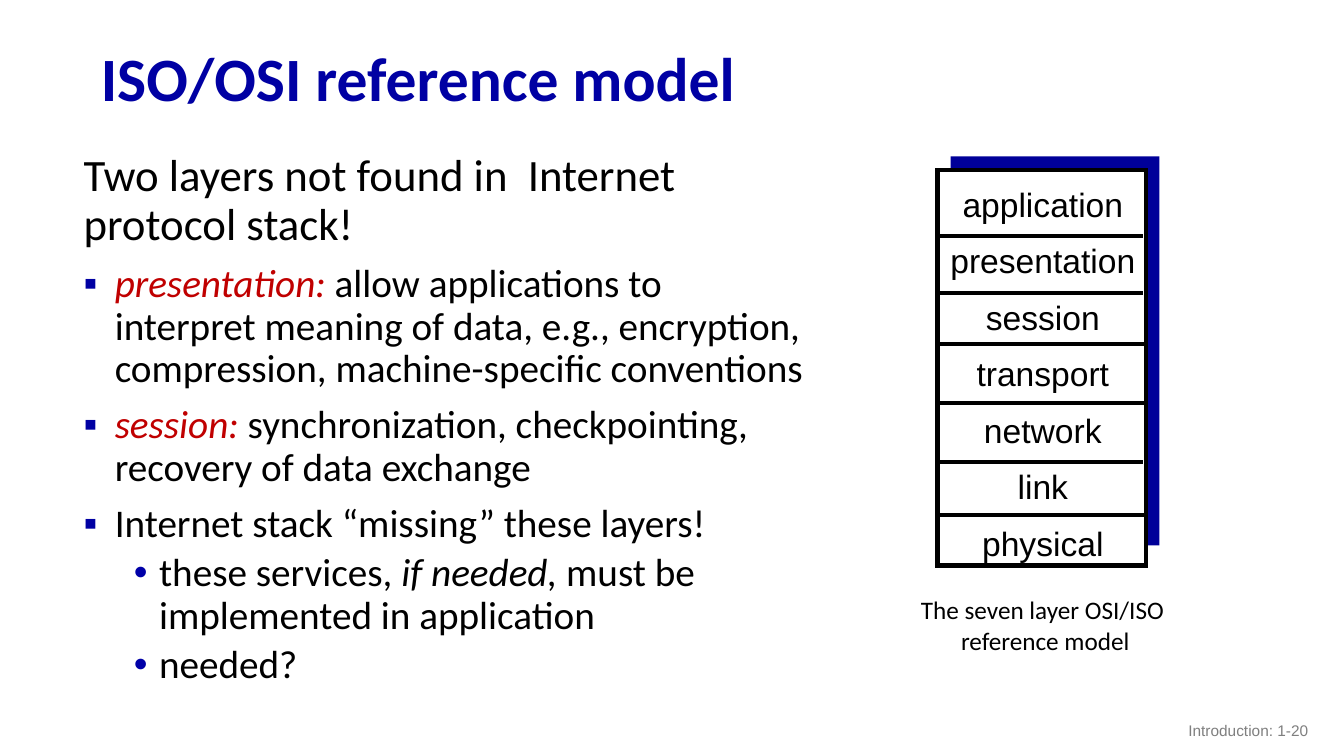
from dataclasses import dataclass

from lxml.etree import SubElement
from pptx import Presentation
from pptx.dml.color import RGBColor
from pptx.enum.shapes import MSO_CONNECTOR as Connector, MSO_SHAPE as Preset
from pptx.enum.text import MSO_ANCHOR as Anchor, MSO_AUTO_SIZE as AutoSize, PP_ALIGN as Align
from pptx.oxml.ns import qn
from pptx.util import Inches, Pt

SLIDE_WIDTH, SLIDE_HEIGHT = Inches(13.333), Inches(7.5)


# Colours, fonts and type sizes
@dataclass(frozen=True)
class Theme:
    heading_font: str = "Calibri"
    diagram_font: str = "Arial"
    title_blue: str = "0000A3"
    sub_bullet_blue: str = "0000A8"
    shadow_blue: str = "000099"
    red: str = "C00000"
    grey: str = "7F7F7F"
    black: str = "000000"
    white: str = "FFFFFF"
    title_size: int = 44
    lead_size: int = 32
    body_size: int = 28
    layer_size: int = 24
    caption_size: int = 18
    footer_size: int = 11
    line_width: int = 3


THEME = Theme()


# Descriptions of the slide's elements
@dataclass(frozen=True)
class Box:
    """Place and size in percent of the slide's width and height."""
    left: float
    top: float
    width: float
    height: float

    def lengths(self) -> tuple:
        return (across(self.left), down(self.top), across(self.width), down(self.height))


@dataclass(frozen=True)
class Bullet:
    runs: tuple  # (text, color, italic)
    level: int = 0


@dataclass(frozen=True)
class BulletStyle:
    mark: str
    color: str
    margin: float
    hanging: float
    space_before: int


@dataclass(frozen=True)
class Divider:
    left: float
    top: float


# Layout and content
TITLE = Box(6.75, 4.27, 86.25, 13.07)
BODY = Box(5.48, 19.6, 55.5, 74.8)
STACK_SHADOW = Box(70.73, 20.67, 15.53, 51.47)
STACK = Box(69.75, 22.53, 15.53, 52.27)
LABELS = Box(69.45, 25.07, 16.28, 49.73)
CAPTION = Box(67.65, 78, 20.25, 9.47)
FOOTER = Box(75.6, 94, 22.5, 5.33)

BULLET_STYLES = (
    BulletStyle("▪", THEME.title_blue, 0.31, 0.31, 10),
    BulletStyle("•", THEME.sub_bullet_blue, 0.75, 0.25, 5),
)
BULLETS = (
    Bullet((("presentation: ", THEME.red, True),
            ("allow applications to interpret meaning of data, e.g., encryption, "
             "compression, machine-specific conventions", THEME.black, False))),
    Bullet((("session: ", THEME.red, True),
            ("synchronization, checkpointing, recovery of data exchange", THEME.black, False))),
    Bullet((("Internet stack “missing” these layers!", THEME.black, False),)),
    Bullet((("these services, ", THEME.black, False),
            ("if needed,", THEME.black, True),
            (" must be implemented in application", THEME.black, False)), level=1),
    Bullet((("needed?", THEME.black, False),), level=1),
)
LAYERS = ("application", "presentation", "session", "transport", "network", "link", "physical")
LAYER_GAP = 20.2
DIVIDER_WIDTH = 15.45
DIVIDERS = (
    Divider(69.6, 31.2), Divider(69.6, 38.8), Divider(69.75, 45.47),
    Divider(69.75, 53.33), Divider(69.6, 61.07), Divider(69.75, 68.13),
)


# Helpers
def across(percent: float) -> int:
    return round(SLIDE_WIDTH * percent / 100)


def down(percent: float) -> int:
    return round(SLIDE_HEIGHT * percent / 100)


def rgb(color: str) -> RGBColor:
    return RGBColor.from_string(color)


def write(paragraph, text: str, *, size: int, font: str = THEME.heading_font,
          color: str = THEME.black, bold: bool = False, italic: bool = False) -> None:
    run = paragraph.add_run()
    run.text = text
    run.font.size, run.font.name = Pt(size), font
    run.font.bold, run.font.italic = bold, italic
    run.font.color.rgb = rgb(color)


def next_paragraph(frame, first: bool, *, align=Align.LEFT, spacing: float = 1.0,
                   before: float = 0, after: float = 0):
    paragraph = frame.paragraphs[0] if first else frame.add_paragraph()
    paragraph.alignment, paragraph.line_spacing = align, spacing
    paragraph.space_before, paragraph.space_after = Pt(before), Pt(after)
    return paragraph


def add_text_frame(slide, box: Box, *, wrap: bool = True, anchor=Anchor.TOP):
    frame = slide.shapes.add_textbox(*box.lengths()).text_frame
    frame.word_wrap, frame.vertical_anchor = wrap, anchor
    return frame


def set_bullet(paragraph, style: BulletStyle) -> None:
    properties = paragraph._p.get_or_add_pPr()
    properties.set("marL", str(Inches(style.margin)))
    properties.set("indent", str(-Inches(style.hanging)))
    SubElement(SubElement(properties, qn("a:buClr")), qn("a:srgbClr"), val=style.color)
    SubElement(properties, qn("a:buFont"), typeface=THEME.diagram_font)
    SubElement(properties, qn("a:buChar"), char=style.mark)


# Title and bulleted text
def add_title(slide) -> None:
    title = slide.shapes.title
    title.left, title.top, title.width, title.height = TITLE.lengths()
    frame = title.text_frame
    frame.auto_size, frame.vertical_anchor = AutoSize.NONE, Anchor.MIDDLE
    write(next_paragraph(frame, True, spacing=0.9), "ISO/OSI reference model",
          size=THEME.title_size, color=THEME.title_blue, bold=True)


def add_body(slide) -> None:
    frame = add_text_frame(slide, BODY)
    write(next_paragraph(frame, True, spacing=0.9, before=10),
          "Two layers not found in  Internet protocol stack!", size=THEME.lead_size)
    for bullet in BULLETS:
        style = BULLET_STYLES[bullet.level]
        paragraph = next_paragraph(frame, False, spacing=0.9, before=style.space_before)
        paragraph.level = bullet.level
        set_bullet(paragraph, style)
        for text, color, italic in bullet.runs:
            write(paragraph, text, size=THEME.body_size, color=color, italic=italic)


# Layer stack with its dividers
def add_rectangle(slide, box: Box, fill: str, outline: str = "") -> None:
    shape = slide.shapes.add_shape(Preset.RECTANGLE, *box.lengths())
    shape.shadow.inherit = False
    shape.fill.solid()
    shape.fill.fore_color.rgb = rgb(fill)
    if outline:
        shape.line.color.rgb, shape.line.width = rgb(outline), Pt(THEME.line_width)
        SubElement(shape.line._get_or_add_ln(), qn("a:miter"), lim="800000")
    else:
        shape.line.fill.background()


def add_divider(slide, divider: Divider) -> None:
    y = down(divider.top)
    line = slide.shapes.add_connector(Connector.STRAIGHT, across(divider.left), y,
                                      across(divider.left + DIVIDER_WIDTH), y)
    line.line.color.rgb, line.line.width = rgb(THEME.black), Pt(THEME.line_width)
    SubElement(line._element.spPr, qn("a:effectLst"))


def add_stack(slide) -> None:
    add_rectangle(slide, STACK_SHADOW, THEME.shadow_blue)
    add_rectangle(slide, STACK, THEME.white, THEME.black)
    frame = add_text_frame(slide, LABELS)
    for index, layer in enumerate(LAYERS):
        paragraph = next_paragraph(frame, index == 0, align=Align.CENTER,
                                   spacing=0.7, after=LAYER_GAP)
        write(paragraph, layer, size=THEME.layer_size, font=THEME.diagram_font)
    for divider in DIVIDERS:
        add_divider(slide, divider)


# Caption and footer
def add_caption(slide) -> None:
    frame = add_text_frame(slide, CAPTION, wrap=False)
    for index, text in enumerate(("The seven layer OSI/ISO ", "reference model")):
        write(next_paragraph(frame, index == 0, align=Align.CENTER), text, size=THEME.caption_size)


def add_footer(slide) -> None:
    frame = add_text_frame(slide, FOOTER, anchor=Anchor.MIDDLE)
    write(next_paragraph(frame, True, align=Align.RIGHT), "Introduction: 1-20",
          size=THEME.footer_size, font=THEME.diagram_font, color=THEME.grey)


def main() -> None:
    presentation = Presentation()
    presentation.slide_width, presentation.slide_height = SLIDE_WIDTH, SLIDE_HEIGHT
    slide = presentation.slides.add_slide(presentation.slide_layouts.get_by_name("Title Only"))
    for add_part in (add_title, add_footer, add_body, add_stack, add_caption):
        add_part(slide)
    presentation.save("out.pptx")


if __name__ == "__main__":
    main()
